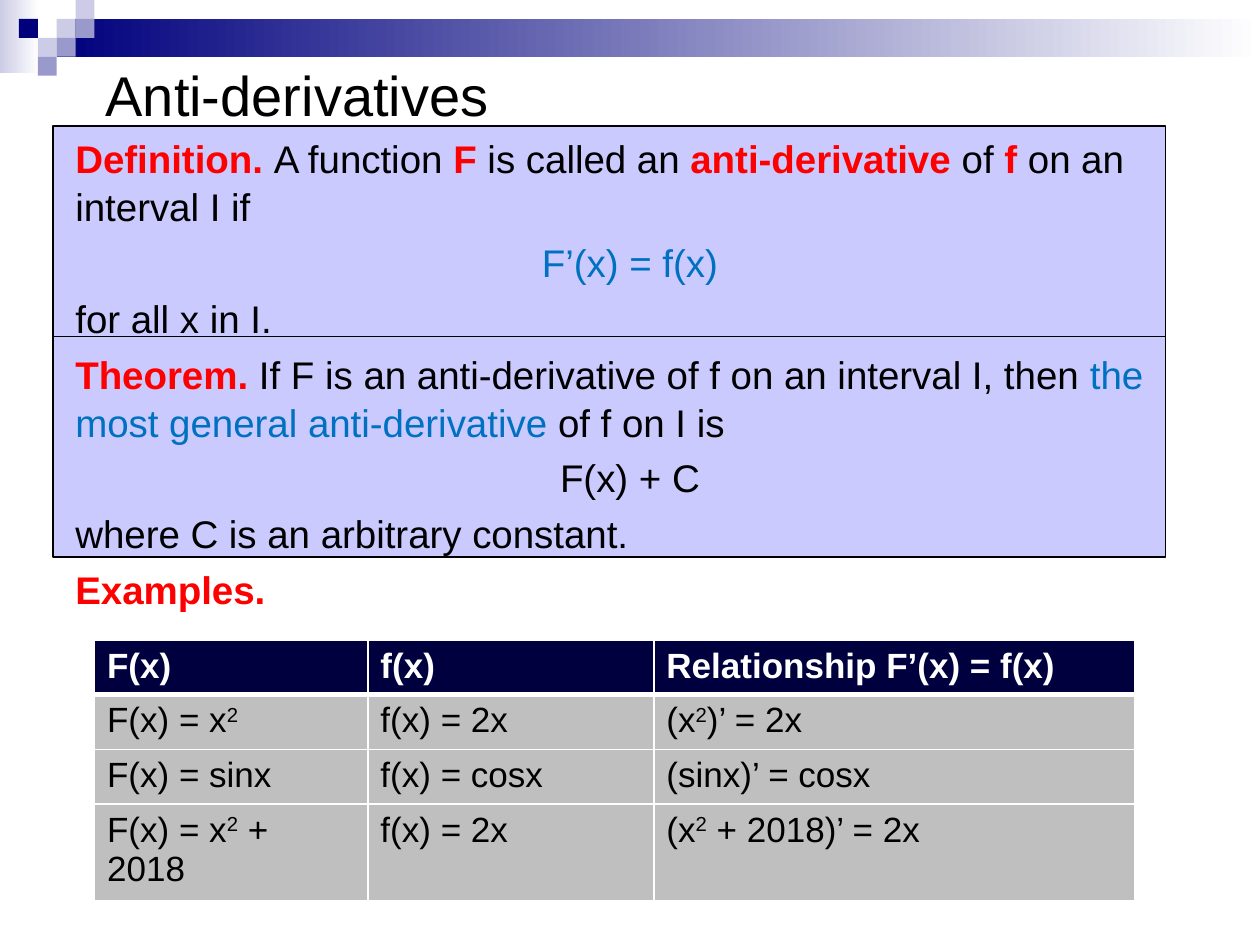
from dataclasses import dataclass

from lxml import etree
from pptx import Presentation, util as u
from pptx.dml.color import RGBColor
from pptx.enum import shapes, text
from pptx.oxml import ns

Inches, Pt = u.Inches, u.Pt


@dataclass(frozen=True)
class Theme:
    font: str = "Arial"
    title: int = 32
    body: int = 22
    cell: int = 20
    black: str = "000000"
    white: str = "FFFFFF"
    red: str = "FF0000"
    blue: str = "0070C0"
    navy: str = "00007D"
    mid: str = "9999CC"
    pale: str = "CCCCE6"
    panel: str = "CACAFF"
    header: str = "00003E"
    row: str = "BFBFBF"


T = Theme()

# Run styles: a run is (wording, style name)
STYLES = {
    "plain": {"color": T.black, "bold": False},
    "key": {"color": T.red, "bold": True},
    "blue": {"color": T.blue, "bold": False},
    "head": {"color": T.white, "bold": True},
    "sup": {"color": T.black, "bold": False, "baseline": "30000"},
}

DEFINITION = [
    [("Definition. ", "key"), ("A function ", "plain"), ("F", "key"),
     (" is called an ", "plain"), ("anti-derivative", "key"), (" of ", "plain"),
     ("f", "key"), (" on an interval I if", "plain")],
    [("F’(x) = f(x)", "blue")],
    [("for all x in I.", "plain")],
]
THEOREM = [
    [("Theorem. ", "key"),
     ("If F is an anti-derivative of f on an interval I, then ", "plain"),
     ("the most general anti-derivative ", "blue"), ("of f on I is", "plain")],
    [("F(x) + C", "plain")],
    [("where C is an arbitrary constant.", "plain")],
]
EXAMPLES = [[("Examples.", "key")]]
CENTRED = (1, 4)  # paragraphs holding a formula

# In the table, ^ marks a superscript digit
TABLE = [
    ["F(x)", "f(x)", "Relationship F’(x) = f(x)"],
    ["F(x) = x^2", "f(x) = 2x", "(x^2)’ = 2x"],
    ["F(x) = sinx", "f(x) = cosx", "(sinx)’ = cosx"],
    ["F(x) = x^2 + 2018", "f(x) = 2x", "(x^2 + 2018)’ = 2x"],
]


def rgb(value):
    return RGBColor.from_string(value)


def add_runs(p, runs, size):
    for words, style in runs:
        look = STYLES[style]
        r = p.add_run()
        r.text = words
        for name, value in {"name": T.font, "size": Pt(size), "bold": look["bold"]}.items():
            setattr(r.font, name, value)
        r.font.color.rgb = rgb(look["color"])
        if "baseline" in look:
            r.font._element.set("baseline", look["baseline"])


def add_box(s, box, fill, fade=False, outline=False):
    sp = s.shapes.add_shape(shapes.MSO_SHAPE.RECTANGLE, *map(Inches, box))
    sp.shadow.inherit = False
    if fade:
        sp.fill.gradient()
        sp.fill.gradient_angle = 0
        for stop, color, position in zip(sp.fill.gradient_stops, (fill, T.white), (0, 1)):
            stop.color.rgb, stop.position = rgb(color), position
    else:
        sp.fill.solid()
        sp.fill.fore_color.rgb = rgb(fill)
    if outline:
        sp.line.color.rgb = rgb(T.black)
        sp.line.width = Pt(0.75)
    else:
        sp.line.fill.background()


def add_text_box(s, box):
    tf = s.shapes.add_textbox(*map(Inches, box)).text_frame
    tf.word_wrap = True
    return tf


def banner(s, box):
    """Fading bar with a mosaic of small squares at its left end."""
    left, top, width, height = box
    unit = height / 4
    add_box(s, (left, top, 0.31, 0.58), T.pale, fade=True)
    add_box(s, (left + 3 * unit, top + unit, width - 3 * unit, 2 * unit), T.navy, fade=True)
    squares = {T.pale: [(3, 1), (4, 0), (2, 2)],
               T.mid: [(4, 1), (3, 2), (2, 3)],
               T.navy: [(1, 1)]}
    for color, places in squares.items():
        for col, row in places:
            add_box(s, (left + col * unit, top + row * unit, unit, unit), color)


def title(s, box):
    tf = add_text_box(s, box)
    tf.vertical_anchor = text.MSO_ANCHOR.MIDDLE
    add_runs(tf.paragraphs[0], [("Anti-derivatives", "plain")], T.title)


def statements(s, box):
    """Two outlined panels with one flow of text over them."""
    left, top, width, split, bottom = 0.42, box[1], 8.83, 2.67, 4.42
    add_box(s, (left, split, width, bottom - split), T.panel, outline=True)
    add_box(s, (left, top, width, split - top), T.panel, outline=True)
    tf = add_text_box(s, box)
    tf.margin_top = Inches(0.06)
    for i, runs in enumerate(DEFINITION + THEOREM + EXAMPLES):
        p = tf.add_paragraph() if i else tf.paragraphs[0]
        p.line_spacing = 1.04
        if i:
            p.space_before = Pt(0.2 * T.body)
        if i in CENTRED:
            p.alignment = text.PP_ALIGN.CENTER
        add_runs(p, runs, T.body)


def cell_runs(words, style):
    first, *rest = words.split("^")
    runs = [(first, style)]
    for part in rest:
        runs += [(part[0], "sup"), (part[1:], style)]
    return [run for run in runs if run[0]]


def set_borders(cell, widths):
    tc_pr = cell._tc.get_or_add_tcPr()
    for i, (side, width) in enumerate(widths.items()):
        ln = etree.Element(ns.qn(f"a:ln{side}"), w=str(Pt(width)))
        fill = etree.SubElement(ln, ns.qn("a:solidFill"))
        etree.SubElement(fill, ns.qn("a:srgbClr"), val=T.white)
        tc_pr.insert(i, ln)


def examples_table(s, box):
    frame = s.shapes.add_table(len(TABLE), len(TABLE[0]), *map(Inches, box))
    table = frame.table
    for column, width in zip(table.columns, (2.17, 2.27, 3.82)):
        column.width = Inches(width)
    for i, row in enumerate(TABLE):
        table.rows[i].height = Inches(0.41)
        for j, words in enumerate(row):
            cell = table.cell(i, j)
            cell.fill.solid()
            cell.fill.fore_color.rgb = rgb(T.row if i else T.header)
            set_borders(cell, {"L": 1, "R": 1, "T": 3 if i == 1 else 1, "B": 1 if i else 3})
            style = "plain" if i else "head"
            add_runs(cell.text_frame.paragraphs[0], cell_runs(words, style), T.cell)


def main():
    prs = Presentation()
    prs.slide_width, prs.slide_height = Inches(10), Inches(7.5)
    s = prs.slides.add_slide(prs.slide_layouts[6])
    banner(s, (0, 0, 10, 0.6))
    title(s, (0.74, 0, 9, 1.5))
    statements(s, (0.5, 1, 9, 4.95))
    examples_table(s, (0.75, 5.08, 8.25, 1.64))
    prs.save("out.pptx")


if __name__ == "__main__":
    main()
